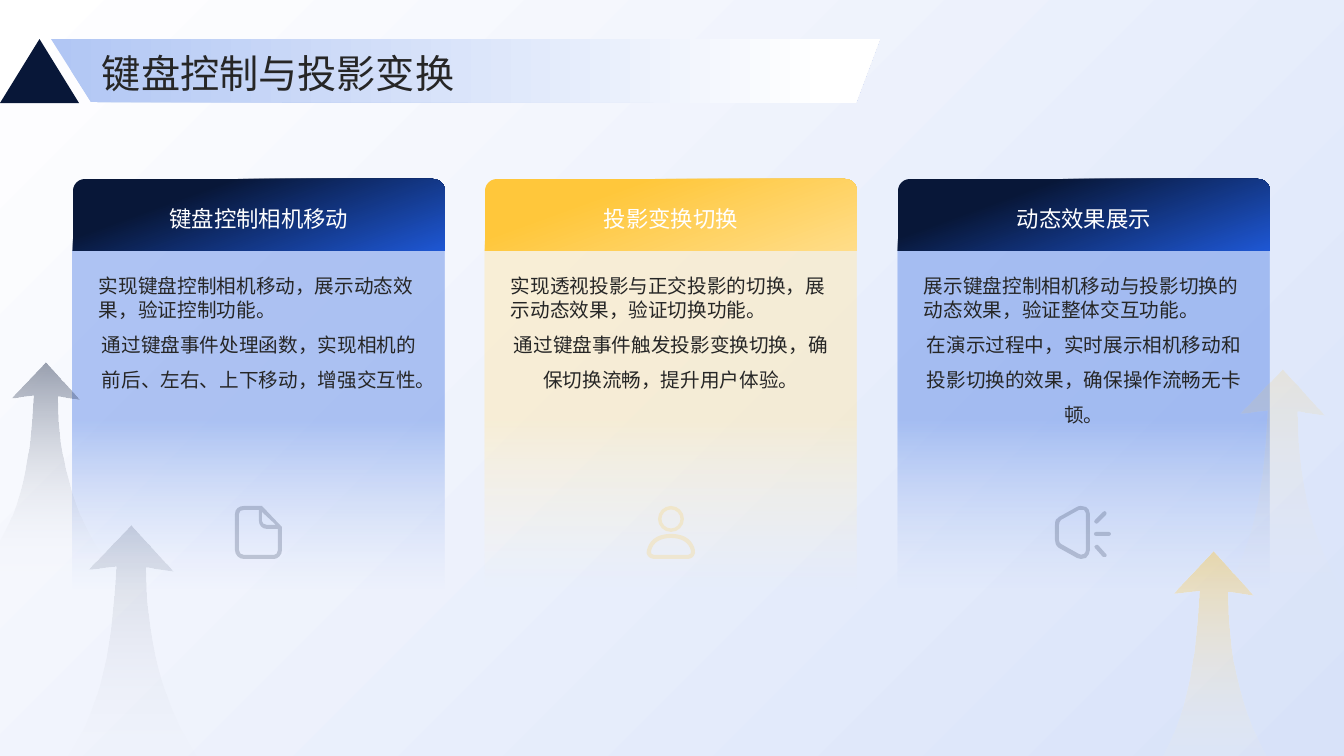
from dataclasses import dataclass

from lxml.etree import SubElement
from pptx import Presentation
from pptx.dml.color import RGBColor
from pptx.enum.shapes import MSO_SHAPE as SHAPE
from pptx.enum.text import MSO_ANCHOR as ANCHOR, MSO_AUTO_SIZE as AUTO, PP_ALIGN as ALIGN
from pptx.oxml.ns import qn
from pptx.util import Pt

PX = 914400 / 100.8
FINE = 100


@dataclass(frozen=True)
class Theme:
    """Colours, font and type sizes of the slide."""
    font: str = "Noto Sans CJK SC"
    title: int = 28
    head: int = 16
    body: int = 14
    ink: str = "262626"
    white: str = "FFFFFF"
    mist: str = "D8E2F9"
    navy: str = "081738"
    royal: str = "1E57D4"
    blue: str = "638DE9"
    pale_blue: str = "B1C6F4"
    gold: str = "FFC73B"
    light_gold: str = "FFDD89"
    cream: str = "FFE9B1"
    pale_cream: str = "FFF4D8"


T = Theme()
BLUE_CARD = {"head": (T.navy, T.royal), "body": (T.blue, T.pale_blue), "icon": T.navy}
GOLD_CARD = {"head": (T.gold, T.light_gold), "body": (T.cream, T.pale_cream), "icon": T.gold}


def ring(cx, cy, r):
    """Return a circle as four cubic curves."""
    k = 0.55 * r
    return [(cx, cy - r),
            (cx + k, cy - r, cx + r, cy - k, cx + r, cy),
            (cx + r, cy + k, cx + k, cy + r, cx, cy + r),
            (cx - k, cy + r, cx - r, cy + k, cx - r, cy),
            (cx - r, cy - k, cx - k, cy - r, cx, cy - r)]


ARROW = [[(81, 0), (121, 44), (95, 40), (95, 114, 114, 188, 163, 246), (0, 245),
          (51, 191, 63, 121, 67, 39), (41, 42)]]
BANNER = [[(40, 63), (0, 0), (829, 0), (805, 64)]]
FILE_ICON = [
    [(27, 0), (9, 0), (4, 0, 0, 3, 0, 8), (0, 44), (0, 49, 4, 53, 9, 53), (39, 53),
     (43, 53, 47, 49, 47, 44), (47, 21), (46, 20)],
    [(27, 15), (27, 6), (41, 19), (32, 19), (29, 19, 27, 17, 27, 15)],
    [(43, 44), (43, 47, 41, 49, 39, 49), (9, 49), (6, 49, 4, 47, 4, 44), (4, 8),
     (4, 5, 6, 4, 9, 4), (24, 4), (24, 15), (24, 19, 27, 23, 32, 23), (43, 23)],
]
PERSON_ICON = [
    ring(25, 13, 13), ring(25, 13, 9.5),
    [(25, 28), (9, 28, 3, 36, 1, 44), (-1, 48, 3, 53, 8, 53), (42, 53),
     (47, 53, 50, 48, 49, 44), (47, 36, 41, 28, 25, 28)],
    [(25, 32), (35, 32, 43, 36, 45, 45), (46, 47, 44, 49, 42, 49), (8, 49),
     (6, 49, 4, 47, 5, 45), (7, 36, 15, 32, 25, 32)],
]
SPEAKER_ICON = [
    [(41, 39), (42, 39, 42, 39, 43, 39), (51, 48), (52, 48, 52, 50, 51, 51),
     (50, 51, 49, 51, 48, 51), (40, 42), (39, 41, 39, 40, 41, 39)],
    [(41, 26), (54, 26), (55, 26, 56, 27, 56, 28), (56, 29, 55, 30, 54, 30), (41, 30),
     (40, 30, 39, 29, 39, 28), (39, 27, 40, 26, 41, 26)],
    [(50, 5), (52, 6, 52, 8, 51, 9), (43, 17), (42, 18, 41, 18, 40, 17),
     (39, 16, 39, 15, 40, 14), (48, 6), (49, 6, 49, 5, 50, 5)],
    [(26, 4), (25, 4, 25, 4, 24, 4), (6, 14), (5, 15, 4, 17, 4, 19), (4, 34),
     (4, 36, 5, 37, 6, 38), (24, 48), (25, 49, 27, 49, 29, 48), (30, 47, 31, 46, 31, 44),
     (31, 8), (31, 7, 30, 5, 29, 4), (28, 4, 27, 4, 26, 4)],
    [(26, 0), (28, 0, 29, 0, 31, 1), (33, 2, 35, 5, 35, 8), (35, 44),
     (35, 47, 33, 50, 31, 52), (29, 52, 28, 53, 26, 53), (25, 53, 23, 52, 22, 52), (4, 42),
     (1, 40, 0, 37, 0, 34), (0, 19), (0, 15, 1, 12, 4, 11), (22, 1), (23, 0, 25, 0, 26, 0)],
]
CARDS = [
    ("键盘控制相机移动", "实现键盘控制相机移动，展示动态效果，验证控制功能。",
     "通过键盘事件处理函数，实现相机的前后、左右、上下移动，增强交互性。",
     BLUE_CARD, FILE_ICON, 162),
    ("投影变换切换", "实现透视投影与正交投影的切换，展示动态效果，验证切换功能。",
     "通过键盘事件触发投影变换切换，确保切换流畅，提升用户体验。",
     GOLD_CARD, PERSON_ICON, 161),
    ("动态效果展示", "展示键盘控制相机移动与投影切换的动态效果，验证整体交互功能。",
     "在演示过程中，实时展示相机移动和投影切换的效果，确保操作流畅无卡顿。",
     BLUE_CARD, SPEAKER_ICON, 157),
]
ARROWS = [(1132, 552, 1, T.gold, 40), (1197, 370, 1.05, T.gold, 15),
          (-23, 363, 0.85, T.navy, 40), (46, 526, 1.05, T.navy, 15)]


def emu(*lengths):
    """Turn px lengths into EMU."""
    return [round(v * PX) for v in lengths]


def add_color(parent, color, alpha=100):
    """Append a colour with an opacity in percent."""
    clr = SubElement(parent, qn("a:srgbClr"), val=color)
    if alpha < 100:
        SubElement(clr, qn("a:alpha"), val=str(alpha * 1000))


def paint(s, stops, angle=0):
    """Fill a shape with one (colour, opacity) or with gradient stops, without line or shadow."""
    s.shadow.inherit = False
    s.line.fill.background()
    if isinstance(stops, tuple):
        s.fill.solid()
        add_color(s._element.spPr.find(qn("a:solidFill")), *stops)
        return
    s.fill.gradient()
    fill = s._element.spPr.find(qn("a:gradFill"))
    for child in list(fill):
        fill.remove(child)
    gs_list = SubElement(fill, qn("a:gsLst"))
    for pos, *color in stops:
        add_color(SubElement(gs_list, qn("a:gs"), pos=str(pos * 1000)), *color)
    SubElement(fill, qn("a:lin"), ang=str(angle * 60000), scaled="0")


def bend(s, contours):
    """Join the line segments that hold control points into cubic curves."""
    lines = iter(list(s._element.iter(qn("a:lnTo"))))
    for seg in (seg for contour in contours for seg in contour[1:]):
        line = next(lines)
        if len(seg) == 6:
            line.tag = qn("a:cubicBezTo")
            for extra in (next(lines), next(lines)):
                line.append(extra[0])
                extra.getparent().remove(extra)


def add_outline(slide, x, y, contours, stops, angle=0, size=1):
    """Draw contours as one freeform with its local origin at x, y."""
    builder = None
    for contour in contours:
        first, *rest = [(seg[i] * FINE, seg[i + 1] * FINE)
                        for seg in contour for i in range(0, len(seg), 2)]
        if builder is None:
            builder = slide.shapes.build_freeform(*first, scale=PX * size / FINE)
        else:
            builder.move_to(*first)
        builder.add_line_segments(rest, close=True)
    s = builder.convert_to_shape(*emu(x, y))
    bend(s, contours)
    paint(s, stops, angle)


def add_block(slide, kind, box, stops, angle=0):
    """Draw a preset shape."""
    paint(slide.shapes.add_shape(kind, *emu(*box)), stops, angle)


def write(tf, lines, size, color, **frame):
    """Write (text, alignment, line spacing) lines into a text frame."""
    for name, value in {"word_wrap": True, "auto_size": AUTO.NONE, **frame}.items():
        setattr(tf, name, value)
    for i, (text, align, spacing) in enumerate(lines):
        p = tf.add_paragraph() if i else tf.paragraphs[0]
        p.alignment, p.line_spacing = align, spacing
        p.space_before = p.space_after = Pt(0)
        r = p.add_run()
        r.text = text
        r.font.name, r.font.size = T.font, Pt(size)
        r.font.color.rgb = RGBColor.from_string(color)
        SubElement(r._r.get_or_add_rPr(), qn("a:ea"), typeface=T.font)


def add_text(slide, box, *args, **frame):
    """Add a text box."""
    write(slide.shapes.add_textbox(*emu(*box)).text_frame, *args, **frame)


def add_card(slide, x, head, intro, detail, look, icon, icon_dx):
    """Add a card with header, fading body, text and icon."""
    (top, top_end), (body, body_end) = look["head"], look["body"]
    add_block(slide, SHAPE.RECTANGLE, (x, 251, 372, 338),
              [(50, body, 50), (100, body_end, 0)], 90)
    add_block(slide, SHAPE.ROUND_2_SAME_RECTANGLE, (x, 179, 372, 72),
              [(28, top), (100, top_end)], 70)
    add_text(slide, (x + 16, 269, 340, 237),
             [(intro, ALIGN.LEFT, 1.0), (detail, ALIGN.CENTER, 1.5)], T.body, T.ink)
    add_text(slide, (x + 16, 179, 340, 72), [(head, ALIGN.CENTER, 1.3)], T.head, T.white,
             vertical_anchor=ANCHOR.MIDDLE)
    add_outline(slide, x + icon_dx, 506, icon, (look["icon"], 20))


def add_title(slide, text):
    """Format the title placeholder and bring it to the front."""
    s = slide.shapes.title
    s.left, s.top, s.width, s.height = emu(102, 45, 1161, 51)
    margins = {f"margin_{side}": 0 for side in ("left", "top", "right", "bottom")}
    write(s.text_frame, [(text, ALIGN.LEFT, 1.1)], T.title, T.ink,
          vertical_anchor=ANCHOR.MIDDLE, **margins)
    s._element.getparent().append(s._element)


def main():
    """Build and save the slide."""
    prs = Presentation()
    prs.slide_width, prs.slide_height = emu(1344, 756)
    slide = prs.slides.add_slide(prs.slide_layouts[5])
    add_block(slide, SHAPE.RECTANGLE, (0, 0, 1344, 756), [(0, T.white), (100, T.mist)], 45)
    for i, card in enumerate(CARDS):
        add_card(slide, 73 + 825 * i // 2, *card)
    for x, y, size, color, alpha in ARROWS:
        add_outline(slide, x, y, ARROW, [(0, color, alpha), (100, T.white, 0)], 90, size)
    add_block(slide, SHAPE.ISOSCELES_TRIANGLE, (0, 39, 79, 64), (T.navy, 100))
    add_outline(slide, 51, 39, BANNER, [(0, T.pale_blue), (94, T.white)])
    add_title(slide, "键盘控制与投影变换")
    prs.save("out.pptx")


if __name__ == "__main__":
    main()
